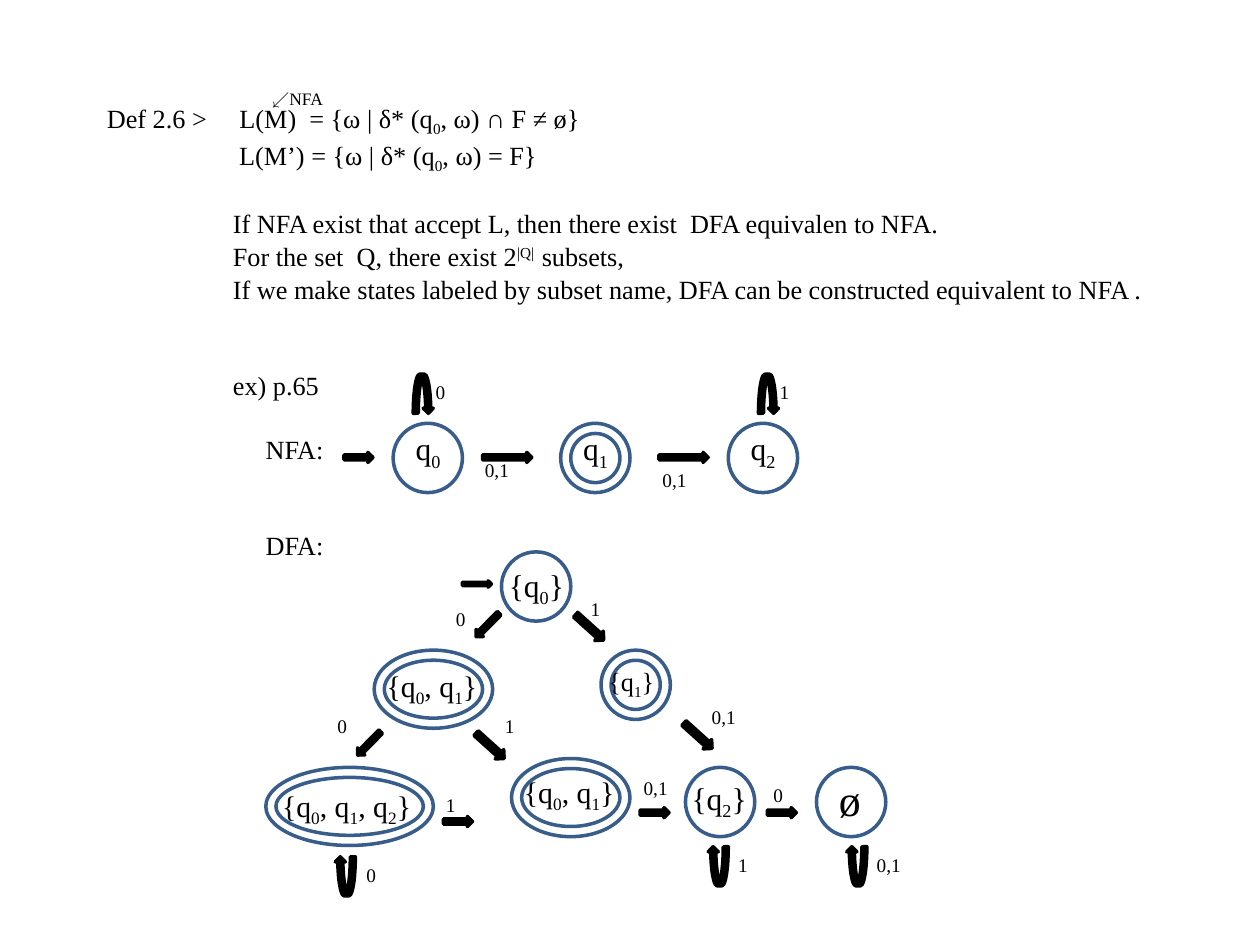
from dataclasses import dataclass

from pptx import Presentation
from pptx.dml.color import RGBColor
from pptx.enum.shapes import MSO_SHAPE as Shape
from pptx.util import Inches, Pt


@dataclass(frozen=True)
class Theme:
    font: str = "Times New Roman"
    ink: RGBColor = RGBColor(0, 0, 0)
    paper: RGBColor = RGBColor(255, 255, 255)
    ring: RGBColor = RGBColor(0x38, 0x5D, 0x8A)
    stroke: float = 2
    body: float = 15
    state: float = 18
    subset: float = 17
    empty_set: float = 25
    label: float = 11
    note: float = 10


theme = Theme()

prs = Presentation()
prs.slide_width, prs.slide_height = Inches(10), Inches(7.5)
s = prs.slides.add_slide(prs.slide_layouts[6])


def add_runs(p, text, size, baseline=-25000):
    for i, piece in enumerate(text.split("~")):
        if not piece:
            continue
        r = p.add_run()
        r.text = piece
        r.font.name = theme.font
        r.font.size = Pt(size)
        r.font.color.rgb = theme.ink
        if i % 2:
            r._r.get_or_add_rPr().set("baseline", str(baseline))


def add_figure(kind, x, y, w, h, fill, line, angle=0):
    sp = s.shapes.add_shape(kind, Inches(x), Inches(y), Inches(w), Inches(h))
    sp.shadow.inherit = False
    sp.fill.solid()
    sp.fill.fore_color.rgb = fill
    sp.line.color.rgb = line
    sp.line.width = Pt(theme.stroke)
    sp.rotation = angle


body = [
    ("Def 2.6 >\t L(M)  = {ω | δ* (q~0~, ω) ∩ F ≠ ø}", 0, 0, -25000),
    ("L(M’) = {ω | δ* (q~0~, ω) = F}", 1.05, 0, -25000),
    ("If NFA exist that accept L, then there exist  DFA equivalen to NFA.", 1, 1, 0),
    ("For the set  Q, there exist 2~|Q|  ~subsets,", 1, 0, 30000),
    ("If we make states labeled by subset name, DFA can be constructed equivalent to NFA .", 1, 0, 0),
    ("ex) p.65", 1, 2, 0),
    ("NFA:", 1.26, 1, 0),
    ("DFA:", 1.26, 2, 0),
]
tf = s.shapes.add_textbox(Inches(0.75), Inches(0.76), Inches(8.52), Inches(3.64)).text_frame
tf.word_wrap = True
for i, (text, indent, gap_lines, baseline) in enumerate(body):
    p = tf.add_paragraph() if i else tf.paragraphs[0]
    p._p.get_or_add_pPr().set("marL", str(Inches(indent)))
    if i:
        p.space_before = Pt(0.75 + 18 * gap_lines)
    add_runs(p, text, theme.body, baseline)

ring_gap = 0.08
states = [
    (3.12, 3.36, 0.55, 0.55, False),
    (4.45, 3.36, 0.55, 0.55, True),
    (5.78, 3.36, 0.55, 0.55, False),
    (3.98, 4.38, 0.55, 0.55, False),
    (2.97, 5.16, 0.94, 0.62, True),
    (4.77, 5.16, 0.55, 0.55, True),
    (2.11, 6.09, 1.33, 0.62, True),
    (4.06, 6.02, 0.94, 0.62, True),
    (5.44, 6.09, 0.55, 0.55, False),
    (6.48, 6.09, 0.55, 0.55, False),
]
for x, y, w, h, accepting in states:
    for inset in (0, ring_gap) if accepting else (0,):
        add_figure(Shape.OVAL, x + inset, y + inset, w - 2 * inset, h - 2 * inset,
                   theme.paper, theme.ring)

arrows = [
    (2.73, 3.59, 0.23, 0.08, 0),
    (3.83, 3.59, 0.39, 0.08, 0),
    (5.23, 3.59, 0.39, 0.08, 0),
    (3.67, 4.61, 0.23, 0.05, 0),
    (3.74, 4.92, 0.26, 0.08, 134.6),
    (4.53, 4.93, 0.3, 0.1, 42),
    (2.8, 5.86, 0.26, 0.08, 134.6),
    (3.74, 5.87, 0.3, 0.1, 42),
    (5.39, 5.79, 0.3, 0.1, 42),
    (3.52, 6.48, 0.23, 0.08, 0),
    (5.08, 6.41, 0.23, 0.08, 0),
    (6.09, 6.41, 0.23, 0.08, 0),
]
for x, y, w, h, angle in arrows:
    add_figure(Shape.RIGHT_ARROW, x, y, w, h, theme.ink, theme.ink, angle)

loops = [(3.28, 2.97, 0), (6.02, 2.97, 0), (2.66, 6.8, 180), (5.62, 6.72, 180), (6.72, 6.72, 180)]
for x, y, angle in loops:
    add_figure(Shape.CURVED_DOWN_ARROW, x, y, 0.16, 0.31, theme.ink, theme.ink, angle)

state_names = [
    ("q~0~", 3.2, 3.36, 0.47, 0.4, theme.state),
    ("q~1~", 4.53, 3.36, 0.47, 0.4, theme.state),
    ("q~2~", 5.86, 3.36, 0.47, 0.4, theme.state),
    ("{q~0~}", 3.94, 4.44, 0.78, 0.4, theme.state),
    ("{q~0~, q~1~}", 2.97, 5.25, 1.02, 0.38, theme.subset),
    ("{q~1~}", 4.73, 5.23, 0.78, 0.35, theme.body),
    ("{q~0~, q~1~, q~2~}", 2.14, 6.2, 1.56, 0.38, theme.subset),
    ("{q~0~, q~1~}", 4.06, 6.09, 1.02, 0.38, theme.subset),
    ("{q~2~}", 5.39, 6.13, 0.78, 0.4, theme.state),
    ("ø", 6.56, 6.08, 0.78, 0.52, theme.empty_set),
    ("↙NFA", 2.06, 0.65, 0.94, 0.27, theme.note),
]
transitions = [
    ("0", 3.36, 2.97), ("1", 6.09, 2.97), ("0,1", 3.75, 3.59), ("0,1", 5.16, 3.67),
    ("0", 3.52, 4.77), ("1", 4.59, 4.69), ("0", 2.58, 5.62), ("1", 3.91, 5.62),
    ("0,1", 5.55, 5.55), ("1", 3.44, 6.25), ("0,1", 5.01, 6.11), ("0", 6.04, 6.17),
    ("0", 2.81, 6.8), ("1", 5.76, 6.72), ("0,1", 6.86, 6.72),
]
labels = state_names + [(text, x, y, 0.47, 0.29, theme.label) for text, x, y in transitions]
for text, x, y, w, h, size in labels:
    tf = s.shapes.add_textbox(Inches(x), Inches(y), Inches(w), Inches(h)).text_frame
    tf.word_wrap = True
    add_runs(tf.paragraphs[0], text, size)

prs.save("out.pptx")
